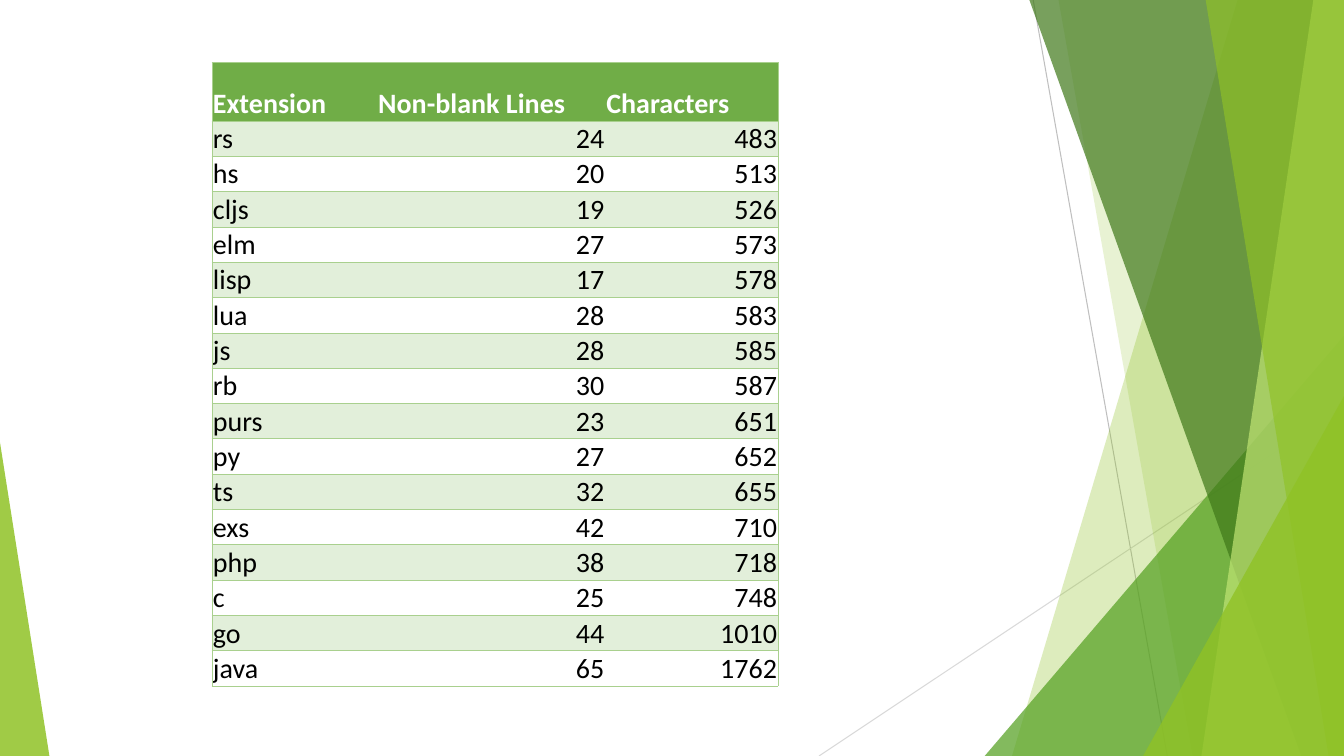
import dataclasses

import lxml.etree
import pptx
import pptx.dml.color
import pptx.enum.shapes
import pptx.enum.text
import pptx.oxml.ns
import pptx.util

Pt = pptx.util.Pt
qn = pptx.oxml.ns.qn


@dataclasses.dataclass(frozen=True)
class Theme:
    font: str = "Calibri"
    size: float = 20
    rule: float = 0.5
    hairline: float = 0.75
    lime: str = "90C226"
    leaf: str = "54A021"
    forest: str = "3F7819"
    pale: str = "C0E474"
    grey: str = "BFBFBF"
    light_grey: str = "D9D9D9"
    header: str = "70AD47"
    band: str = "E2EFDA"
    border: str = "A9D08E"
    white: str = "FFFFFF"
    black: str = "000000"


THEME = Theme()
HEADINGS = ("Extension", "Non-blank Lines", "Characters")
COUNTS = [
    ("rs", 24, 483),
    ("hs", 20, 513),
    ("cljs", 19, 526),
    ("elm", 27, 573),
    ("lisp", 17, 578),
    ("lua", 28, 583),
    ("js", 28, 585),
    ("rb", 30, 587),
    ("purs", 23, 651),
    ("py", 27, 652),
    ("ts", 32, 655),
    ("exs", 42, 710),
    ("php", 38, 718),
    ("c", 25, 748),
    ("go", 44, 1010),
    ("java", 65, 1762),
]


def rgb(color):
    return pptx.dml.color.RGBColor.from_string(color)


def paint(sp, color, opacity):
    sp.shadow.inherit = False
    sp.line.fill.background()
    sp.fill.solid()
    sp.fill.fore_color.rgb = rgb(color)
    clr = sp._element.spPr.find(qn("a:solidFill"))[0]
    lxml.etree.SubElement(clr, qn("a:alpha")).set("val", str(opacity * 1000))


def add_hairline(s, x1, y1, x2, y2, color):
    line = s.shapes.add_connector(
        pptx.enum.shapes.MSO_CONNECTOR.STRAIGHT, Pt(x1), Pt(y1), Pt(x2), Pt(y2))
    line.line.color.rgb = rgb(color)
    line.line.width = Pt(THEME.hairline)
    lxml.etree.SubElement(line._element.spPr, qn("a:effectLst"))


def add_triangle(s, x, y, w, h, apex, color, opacity):
    sp = s.shapes.add_shape(
        pptx.enum.shapes.MSO_SHAPE.ISOSCELES_TRIANGLE, Pt(x), Pt(y), Pt(w), Pt(h))
    sp.adjustments[0] = apex
    paint(sp, color, opacity)


def add_blade(s, top_x, bottom_x, right, top, bottom, color, opacity):
    corners = [(top_x, top), (right, top), (right, bottom), (bottom_x, bottom)]
    points = [(Pt(x), Pt(y)) for x, y in corners]
    builder = s.shapes.build_freeform(*points[0])
    builder.add_line_segments(points[1:], close=True)
    paint(builder.convert_to_shape(), color, opacity)


def draw_facets(s, x, y, w, h):
    right, bottom = x + w, y + h
    add_hairline(s, x + 153, y, x + 248.8, bottom, THEME.grey)
    add_hairline(s, right, y + 290.2, x, bottom, THEME.light_grey)

    def blade(top_x, bottom_x, color, opacity):
        add_blade(s, x + top_x, x + bottom_x, right, y - 0.6, bottom, color, opacity)

    def corner(left, top, color, opacity):
        add_triangle(s, x + left, y + top, w - left, h - top, 1, color, opacity)

    blade(299.2, 137.9, THEME.lime, 30)
    blade(171, 266.8, THEME.lime, 20)
    corner(118.4, 239.8, THEME.leaf, 72)
    blade(150.1, 344.5, THEME.forest, 70)
    blade(353.2, 273.2, THEME.pale, 70)
    blade(276.1, 364, THEME.lime, 65)
    corner(231.5, 283, THEME.lime, 80)


def set_borders(cell, ruled):
    tcPr = cell._tc.get_or_add_tcPr()
    for i, side in enumerate("LRTB"):
        ln = lxml.etree.Element(qn(f"a:ln{side}"))
        if side in ruled:
            ln.set("w", str(Pt(THEME.rule)))
            fill = lxml.etree.SubElement(ln, qn("a:solidFill"))
            lxml.etree.SubElement(fill, qn("a:srgbClr")).set("val", THEME.border)
        else:
            lxml.etree.SubElement(ln, qn("a:noFill"))
        tcPr.insert(i, ln)


def fill_cell(cell, value, fill, color, bold):
    cell.margin_left = cell.margin_right = cell.margin_top = Pt(0.72)
    cell.margin_bottom = 0
    cell.vertical_anchor = pptx.enum.text.MSO_ANCHOR.BOTTOM
    if fill:
        cell.fill.solid()
        cell.fill.fore_color.rgb = rgb(fill)
    else:
        cell.fill.background()
    p = cell.text_frame.paragraphs[0]
    p.text = str(value)
    align = pptx.enum.text.PP_ALIGN
    p.alignment = align.RIGHT if isinstance(value, int) else align.LEFT
    p.font.name = THEME.font
    p.font.size = Pt(THEME.size)
    p.font.bold = bold
    p.font.color.rgb = rgb(color)


def draw_counts_table(s, x, y, w, h):
    rows = [HEADINGS, *COUNTS]
    frame = s.shapes.add_table(len(rows), len(HEADINGS), Pt(x), Pt(y), Pt(w), Pt(h))
    table = frame.table
    table.horz_banding = False
    for column, share in zip(table.columns, (0.292, 0.403, 0.305)):
        column.width = Pt(w * share)
    for i, values in enumerate(rows):
        table.rows[i].height = Pt(22.32 if i else 41.8)
        fill = THEME.header if i == 0 else THEME.band if i % 2 else None
        color = THEME.black if i else THEME.white
        for j, value in enumerate(values):
            cell = table.cell(i, j)
            fill_cell(cell, value, fill, color, i == 0)
            set_borders(cell, ("LTB", "TB", "RTB")[j])
    frame.height = Pt(h)


def main():
    prs = pptx.Presentation()
    prs.slide_width, prs.slide_height = Pt(960), Pt(540)
    s = prs.slides.add_slide(prs.slide_layouts[6])
    draw_facets(s, 585, 0, 375, 540)
    add_triangle(s, 0, 316.1, 35.3, 223.9, 0, THEME.lime, 85)
    draw_counts_table(s, 151.4, 44.6, 404.4, 434.9)
    prs.save("out.pptx")


if __name__ == "__main__":
    main()
